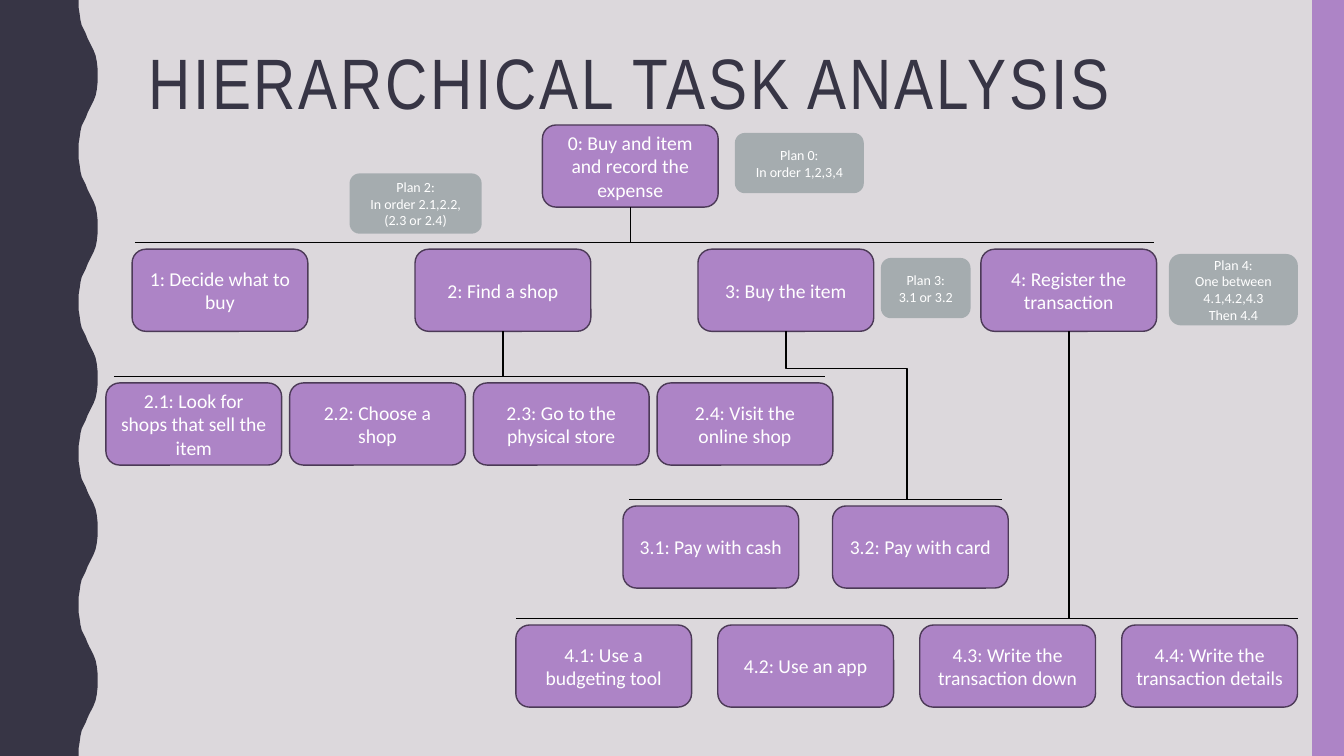
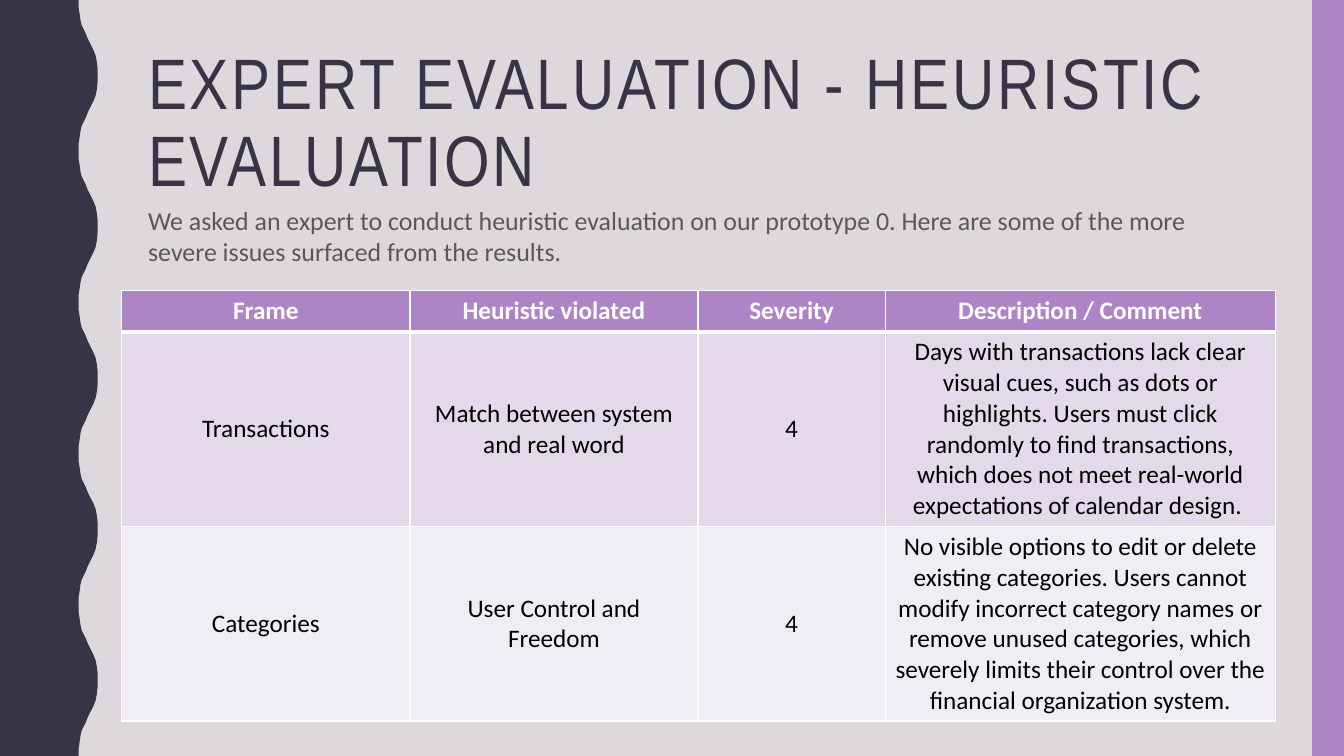
from lxml.etree import SubElement
from pptx import Presentation
from pptx.dml.color import RGBColor
from pptx.enum.shapes import MSO_CONNECTOR as Link, MSO_SHAPE as Preset
from pptx.enum.text import MSO_ANCHOR as Anchor, MSO_AUTO_SIZE as AutoSize, PP_ALIGN as Align
from pptx.oxml.ns import qn
from pptx.util import Cm, Pt

BACKDROP = RGBColor(0xDC, 0xD8, 0xDC)
NAVY = RGBColor(0x37, 0x35, 0x45)
PURPLE = RGBColor(0xAD, 0x84, 0xC6)
PLUM = RGBColor(0x4C, 0x3A, 0x57)
SLATE = RGBColor(0x6F, 0x81, 0x83)
GREY = RGBColor(0x59, 0x59, 0x59)
BLACK = RGBColor(0, 0, 0)
WHITE = RGBColor(0xFF, 0xFF, 0xFF)
ROW_TINTS = (RGBColor(0xE3, 0xD9, 0xEA), RGBColor(0xF1, 0xED, 0xF5))

TITLE_FONT = "Arial Narrow"
TEXT_FONT = "Calibri"

SLIDE_W, SLIDE_H = Cm(33.87), Cm(19.05)
HALF_WAVE = (
    (1.98, 0), (1.98, 0.18), (2.01, 0.36), (2.03, 0.51), (2.06, 0.64),
    (2.11, 0.74), (2.16, 0.84), (2.21, 0.97), (2.26, 1.07), (2.31, 1.17),
    (2.36, 1.27), (2.41, 1.4), (2.44, 1.55), (2.46, 1.73), (2.46, 1.9),
)
WAVES = 5
TASK_W, TASK_H = Cm(4.43), Cm(2.07)
RAIL_GAP = Cm(0.17)

HEURISTICS = (
    ("Frame", "Heuristic violated", "Severity", "Description / Comment"),
    ("Transactions", "Match between system and real word", "4",
     "Days with transactions lack clear visual cues, such as dots or highlights. "
     "Users must click randomly to find transactions, which does not meet "
     "real-world expectations of calendar design. "),
    ("Categories", "User Control and Freedom", "4",
     "No visible options to edit or delete existing categories. Users cannot "
     "modify incorrect category names or remove unused categories, which severely "
     "limits their control over the financial organization system."),
)


def write(frame, text, size, colour, font=TEXT_FONT, align=Align.CENTER, bold=False):
    """Fill a text frame and format all of its runs."""
    frame.text = text
    frame.word_wrap = True
    for paragraph in frame.paragraphs:
        paragraph.alignment = align
        for run in paragraph.runs:
            run.font.name, run.font.size, run.font.bold = font, Pt(size), bold
            run.font.color.rgb = colour


def place(part, left, top, width, height):
    """Move a part to a box."""
    part.left, part.top, part.width, part.height = left, top, width, height


def paint(shape, colour, outline=None):
    """Give a shape a flat fill and an optional thin outline."""
    shape.shadow.inherit = False
    shape.fill.solid()
    shape.fill.fore_color.rgb = colour
    if outline is None:
        shape.line.fill.background()
    else:
        shape.line.color.rgb = outline
        shape.line.width = Pt(1)


def dress_master(master, slide):
    """Put the backdrop, wavy edge and side band on the slide master."""
    master.background.fill.solid()
    master.background.fill.fore_color.rgb = BACKDROP
    period = SLIDE_H / WAVES
    rise = [(Cm(x), Cm(y)) for x, y in HALF_WAVE]
    fall = [(x, period - y) for x, y in reversed(rise)]
    edge = [(x, y + n * period) for n in range(WAVES) for x, y in rise + fall]
    outline = slide.shapes.build_freeform(0, 0)
    outline.add_line_segments(edge + [(0, SLIDE_H)], close=True)
    wave = outline.convert_to_shape()
    band_left = Cm(33.07)
    band = slide.shapes.add_shape(
        Preset.RECTANGLE, band_left, 0, SLIDE_W - band_left, SLIDE_H)
    for number, (part, colour) in enumerate(((wave, NAVY), (band, PURPLE))):
        paint(part, colour)
        part.element.xpath(".//p:cNvPr")[0].set("id", str(100 + number))
        master.shapes.element.insert(2 + number, part.element)


def add_title(slide, text):
    """Place and style the slide title."""
    title = slide.shapes.title
    place(title, Cm(3.48), Cm(1.07), Cm(28.27), Cm(4.14))
    frame = title.text_frame
    write(frame, text, 51, NAVY, TITLE_FONT, Align.LEFT)
    frame.auto_size = AutoSize.NONE
    frame.vertical_anchor = Anchor.TOP
    heading = frame.paragraphs[0]
    heading.line_spacing = 0.9
    heading.runs[0].font._element.set("spc", "200")


def add_card(slide, box, text, size, colour, outline=None):
    """Draw a rounded card with centred white text."""
    card = slide.shapes.add_shape(Preset.ROUNDED_RECTANGLE, *box)
    paint(card, colour, outline)
    write(card.text_frame, text, size, WHITE)
    card.text_frame.vertical_anchor = Anchor.MIDDLE
    return card


def add_task(slide, left, top, text):
    """Draw one task of the hierarchy."""
    return add_card(slide, (left, top, TASK_W, TASK_H), text, 14, PURPLE, PLUM)


def add_plan(slide, box, text):
    """Draw a half-transparent plan note."""
    plan = add_card(slide, box, text, 10, SLATE)
    tint = plan.element.spPr.find(qn("a:solidFill"))[0]
    SubElement(tint, qn("a:alpha")).set("val", "50000")


def add_link(slide, kind, start, end):
    """Draw a thin black connector without a shadow."""
    link = slide.shapes.add_connector(kind, *start, *end)
    link.line.color.rgb = BLACK
    link.line.width = Pt(1)
    SubElement(link.element.spPr, qn("a:effectLst"))
    return link


def add_stem(slide, parent, rail_y):
    """Drop a straight line from a task to the rail below it."""
    x = parent.left + parent.width // 2
    stem = add_link(slide, Link.STRAIGHT, (x, parent.top + parent.height), (x, rail_y))
    stem.begin_connect(parent, 2)


def add_elbow(slide, parent, end_x, rail_y):
    """Lead a line down, across and down from a task to a rail."""
    x, y = parent.left + parent.width // 2, parent.top + parent.height
    elbow = add_link(slide, Link.ELBOW, (x, y), (end_x, rail_y))
    across, down = end_x - x, rail_y - y
    place(elbow, x + (across - down) // 2, y + (down - across) // 2, down, across)
    frame = elbow.element.spPr.find(qn("a:xfrm"))
    frame.set("rot", "16200000")
    frame.set("flipH", "1")
    geometry = elbow.element.spPr.find(qn("a:prstGeom"))
    guides = geometry.find(qn("a:avLst"))
    if guides is None:
        guides = SubElement(geometry, qn("a:avLst"))
    bend = SubElement(guides, qn("a:gd"))
    bend.set("name", "adj1")
    bend.set("fmla", "val 22300")


def add_task_row(slide, left, top, step, inset, names):
    """Draw evenly spaced tasks under a rail; return the tasks and rail height."""
    tasks = [add_task(slide, left + n * step, top, name) for n, name in enumerate(names)]
    rail_y = top - RAIL_GAP
    right = tasks[-1].left + TASK_W
    add_link(slide, Link.STRAIGHT, (left + inset, rail_y), (right - inset, rail_y))
    return tasks, rail_y


def build_hierarchy(slide):
    """Build the task tree with its plans."""
    add_title(slide, "HIERARCHICAL TASK ANALYSIS")
    goal = add_task(slide, Cm(13.67), Cm(3.15), "0: Buy and item and record the expense")
    (_, find, buy, register), goal_rail = add_task_row(
        slide, Cm(3.33), Cm(6.28), Cm(7.13), Cm(0.07),
        ("1: Decide what to buy", "2: Find a shop", "3: Buy the item",
         "4: Register the transaction"))
    _, find_rail = add_task_row(
        slide, Cm(2.67), Cm(9.65), Cm(4.63), Cm(0.2),
        ("2.1: Look for shops that sell the item", "2.2: Choose a shop",
         "2.3: Go to the physical store", "2.4: Visit the online shop"))
    _, buy_rail = add_task_row(
        slide, Cm(15.7), Cm(12.75), Cm(5.28), Cm(0.16),
        ("3.1: Pay with cash", "3.2: Pay with card"))
    _, register_rail = add_task_row(
        slide, Cm(13), Cm(15.75), Cm(5.09), 0,
        ("4.1: Use a budgeting tool", "4.2: Use an app",
         "4.3: Write the transaction down", "4.4: Write the transaction details"))
    for parent, rail_y in ((goal, goal_rail), (find, find_rail), (register, register_rail)):
        add_stem(slide, parent, rail_y)
    add_elbow(slide, buy, Cm(22.86), buy_rail)
    for box, text in (
        ((18.52, 3.35, 3.25, 1.52), "Plan 0:\vIn order 1,2,3,4"),
        ((8.81, 4.37, 3.33, 1.52), "Plan 2:\vIn order 2.1,2.2,(2.3 or 2.4)"),
        ((29.46, 6.4, 3.25, 1.8), "Plan 4:\vOne between 4.1,4.2,4.3\nThen 4.4"),
        ((22.2, 6.5, 2.26, 1.52), "Plan 3:\v3.1 or 3.2"),
    ):
        add_plan(slide, [Cm(length) for length in box], text)


def add_border(cell, side, points):
    """Draw one white cell border."""
    border = SubElement(cell._tc.get_or_add_tcPr(), qn("a:ln" + side))
    border.set("w", str(Pt(points)))
    fill = SubElement(border, qn("a:solidFill"))
    SubElement(fill, qn("a:srgbClr")).set("val", str(WHITE))


def add_heuristics_table(slide, left, top):
    """Build the table of violated heuristics."""
    widths = [Cm(w) for w in (7.26, 7.26, 4.72, 9.83)]
    heights = [Cm(h) for h in (1.04, 4.9, 4.9)]
    table = slide.shapes.add_table(
        len(heights), len(widths), left, top, sum(widths), sum(heights)).table
    for column, width in zip(table.columns, widths):
        column.width = width
    for r, (height, texts) in enumerate(zip(heights, HEURISTICS)):
        table.rows[r].height = height
        header = r == 0
        for c, text in enumerate(texts):
            cell = table.cell(r, c)
            for side in "LRTB":
                thick = (r, side) in ((0, "B"), (1, "T"))
                add_border(cell, side, 3 if thick else 1)
            cell.fill.solid()
            cell.fill.fore_color.rgb = PURPLE if header else ROW_TINTS[r - 1]
            write(cell.text_frame, text, 18, WHITE if header else BLACK, bold=header)
            cell.vertical_anchor = Anchor.TOP if header else Anchor.MIDDLE


def build_evaluation(slide):
    """Build the expert evaluation with its introduction and table."""
    add_title(slide, "EXPERT EVALUATION - HEURISTIC EVALUATION")
    intro = slide.placeholders[1]
    place(intro, Cm(3.48), Cm(5.03), Cm(28.27), Cm(1.88))
    write(
        intro.text_frame,
        "We asked an expert to conduct heuristic evaluation on our prototype 0. "
        "Here are some of the more severe issues surfaced from the results.",
        18.5, GREY, align=Align.LEFT)
    intro.text_frame.auto_size = AutoSize.NONE
    sentence = intro.text_frame.paragraphs[0]
    sentence.space_before = Pt(0)
    layout = sentence._p.get_or_add_pPr()
    layout.set("marL", "0")
    layout.set("indent", "0")
    SubElement(layout, qn("a:buNone"))
    add_heuristics_table(slide, Cm(3.07), Cm(7.32))


def main():
    """Build and save the presentation."""
    deck = Presentation()
    deck.slide_width, deck.slide_height = SLIDE_W, SLIDE_H
    hierarchy = deck.slides.add_slide(deck.slide_layouts[5])
    dress_master(deck.slide_master, hierarchy)
    build_hierarchy(hierarchy)
    build_evaluation(deck.slides.add_slide(deck.slide_layouts[1]))
    deck.save("out.pptx")


if __name__ == "__main__":
    main()
